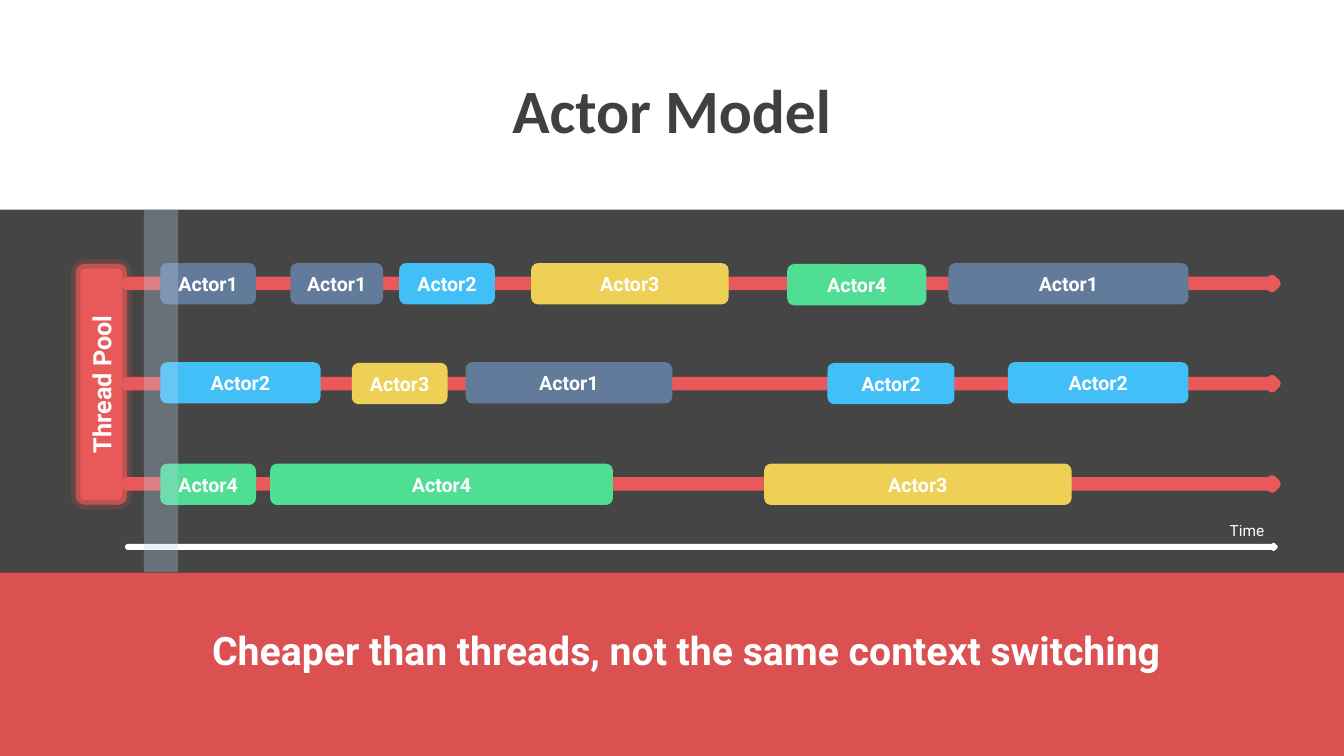
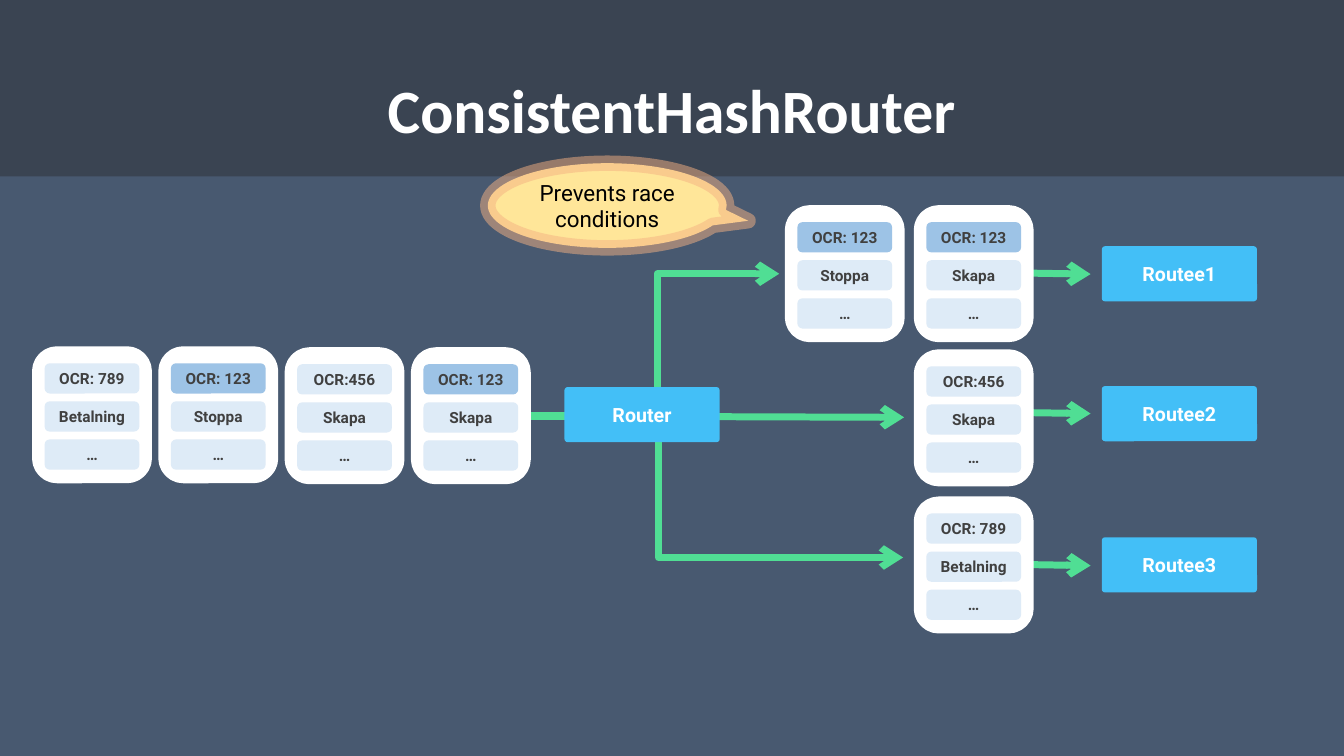
from dataclasses import dataclass
from typing import Any, NamedTuple, Optional

import pptx
import pptx.dml.color
import pptx.enum.shapes
import pptx.enum.text
import pptx.oxml.ns
import pptx.util

Pt = pptx.util.Pt
RGBColor = pptx.dml.color.RGBColor
Shape = pptx.enum.shapes.MSO_SHAPE
Connector = pptx.enum.shapes.MSO_CONNECTOR
Align = pptx.enum.text.PP_ALIGN
Anchor = pptx.enum.text.MSO_ANCHOR


@dataclass(frozen=True)
class Theme:
    white: str = "FFFFFF"
    black: str = "000000"
    ink: str = "404040"
    charcoal: str = "454545"
    navy: str = "485970"
    shade: str = "262626"
    red: str = "E95959"
    red_band: str = "DB5151"
    red_edge: str = "8C4A4A"
    slate: str = "637B9B"
    blue: str = "43BFF7"
    yellow: str = "EDD055"
    green: str = "50DE94"
    glow: str = "BDD7EE"
    pill: str = "DEEBF7"
    pill_hot: str = "9DC3E6"
    callout: str = "FFE699"
    callout_edge: str = "F4B183"
    title_font: str = "Calibri"
    body_font: str = "Roboto"
    title_size: float = 44
    caption_size: float = 28
    pool_size: float = 18
    callout_size: float = 16
    label_size: float = 14
    small_size: float = 11


THEME = Theme()
SLIDE_WIDTH, SLIDE_HEIGHT = 960, 540


class Area(NamedTuple):
    left: float
    top: float
    width: float
    height: float


class Edge(NamedTuple):
    color: str
    width: float
    opacity: int = 100


class TextStyle(NamedTuple):
    size: float
    color: str = THEME.white
    bold: bool = True
    font: str = THEME.body_font


class Actor(NamedTuple):
    number: int
    left: float
    width: float
    drop: float = 0


class Message(NamedTuple):
    left: float
    top: float
    number: str
    action: str


class Link(NamedTuple):
    start: tuple[float, float]
    end: tuple[float, float]
    bend: Optional[int] = None


LABEL = TextStyle(THEME.label_size)
PILL_TEXT = TextStyle(THEME.small_size, THEME.ink)

ACTOR_COLORS = {1: THEME.slate, 2: THEME.blue, 3: THEME.yellow, 4: THEME.green}
THREADS = {
    187.9: [
        Actor(1, 114.5, 68.4),
        Actor(1, 207.4, 66.2),
        Actor(2, 285.1, 68.4),
        Actor(3, 379.4, 141.1),
        Actor(4, 562.3, 99.4, 0.7),
        Actor(1, 677.5, 171.4),
    ],
    258.7: [
        Actor(2, 114.5, 114.5),
        Actor(3, 251.3, 68.4, 0.5),
        Actor(1, 332.6, 147.6),
        Actor(2, 591.1, 90.7, 0.5),
        Actor(2, 720, 128.9),
    ],
    331.2: [
        Actor(4, 114.5, 68.4),
        Actor(4, 193, 244.8),
        Actor(3, 545.8, 219.6),
    ],
}

QUEUE_LEFT, QUEUE_STEP = 28.3, 90.2
QUEUE = [
    (252.7, "OCR: 789", "Betalning"),
    (252.7, "OCR: 123", "Stoppa"),
    (253.4, "OCR:456", "Skapa"),
    (253.4, "OCR: 123", "Skapa"),
]
ROUTED = [
    Message(566, 151.9, "OCR: 123", "Stoppa"),
    Message(658.1, 151.9, "OCR: 123", "Skapa"),
    Message(658.1, 254.9, "OCR:456", "Skapa"),
    Message(658.1, 360, "OCR: 789", "Betalning"),
]
NODES = [
    ("Router", 403.2, 276.5),
    ("Routee1", 787, 175.9),
    ("Routee2", 787, 275.8),
    ("Routee3", 787, 383.8),
]
HUB = (378, 297.2)
LINKS = [
    Link((730, 195), (779, 195.8)),
    Link((730, 294.7), (779, 295.4)),
    Link((730, 403.2), (779, 404)),
    Link(HUB, (645.8, 298.1)),
    Link(HUB, (645.1, 398.2), 34600),
    Link(HUB, (556.6, 195.6), 51200),
]


def apply_values(target: Any, values: dict[str, Any]) -> None:
    for name, value in values.items():
        setattr(target, name, value)


def color_of(code: str) -> RGBColor:
    return RGBColor.from_string(code)


def set_opacity(shape: Any, route: str, opacity: int) -> None:
    if opacity < 100:
        for color in shape._element.spPr.xpath(route + "a:solidFill/a:srgbClr"):
            alpha = color.makeelement(pptx.oxml.ns.qn("a:alpha"), {"val": str(opacity * 1000)})
            color.append(alpha)


def write_text(box: Any, text: str, style: TextStyle, align: Any = Align.CENTER,
               anchor: Any = Anchor.MIDDLE, wrap: bool = True, spacing: float = 1) -> None:
    apply_values(box.text_frame, {"word_wrap": wrap, "vertical_anchor": anchor})
    para = box.text_frame.paragraphs[0]
    apply_values(para, {"alignment": align, "line_spacing": spacing})
    span = para.add_run()
    span.text = text
    apply_values(span.font, {"size": Pt(style.size), "bold": style.bold, "name": style.font})
    span.font.color.rgb = color_of(style.color)


def add_text(page: Any, area: Area, text: str, style: TextStyle, **layout: Any) -> None:
    box = page.shapes.add_textbox(*map(Pt, area))
    write_text(box, text, style, **layout)


def add_box(page: Any, area: Area, fill: str, kind: Any = Shape.ROUNDED_RECTANGLE,
            edge: Optional[Edge] = None, opacity: int = 100, text: str = "",
            style: TextStyle = LABEL) -> Any:
    box = page.shapes.add_shape(kind, *map(Pt, area))
    box.shadow.inherit = False
    box.fill.solid()
    box.fill.fore_color.rgb = color_of(fill)
    set_opacity(box, "./", opacity)
    if edge:
        box.line.color.rgb = color_of(edge.color)
        box.line.width = Pt(edge.width)
        set_opacity(box, "./a:ln/", edge.opacity)
    else:
        box.line.fill.background()
    if text:
        write_text(box, text, style)
    return box


def add_link(page: Any, link: Link) -> None:
    kind = Connector.STRAIGHT if link.bend is None else Connector.ELBOW
    line = page.shapes.add_connector(kind, *map(Pt, link.start + link.end))
    line.line.color.rgb = color_of(THEME.green)
    line.line.width = Pt(5)
    qn = pptx.oxml.ns.qn
    properties = line._element.spPr
    outline = properties.find(qn("a:ln"))
    outline.append(outline.makeelement(qn("a:tailEnd"), {"type": "arrow"}))
    properties.append(properties.makeelement(qn("a:effectLst"), {}))
    if link.bend is not None:
        guides = properties.find(qn("a:prstGeom")).get_or_add_avLst()
        guide = {"name": "adj1", "fmla": f"val {link.bend}"}
        guides.append(guides.makeelement(qn("a:gd"), guide))


def start_page(deck: Any, background: str, band: str, band_height: float,
               title: str, title_color: str, band_opacity: int = 100) -> Any:
    page = deck.slides.add_slide(deck.slide_layouts[6])
    page.background.fill.solid()
    page.background.fill.fore_color.rgb = color_of(background)
    add_box(page, Area(0, 0, SLIDE_WIDTH, band_height), band, Shape.RECTANGLE,
            opacity=band_opacity)
    style = TextStyle(THEME.title_size, title_color, font=THEME.title_font)
    add_text(page, Area(66, 28.8, 828, 104.4), title, style, spacing=0.9)
    return page


def add_time_arrow(page: Any, top: float, height: float, color: str, weight: float) -> None:
    add_box(page, Area(90.7, top, 820.8, height), color, Shape.RIGHT_ARROW, Edge(color, weight))


def draw_actor_model(deck: Any) -> None:
    page = start_page(deck, THEME.charcoal, THEME.white, 149.8, "Actor Model", THEME.ink)
    pool = add_box(page, Area(-13.7, 256.1, 172.1, 36.7), THEME.red,
                   edge=Edge(THEME.red_edge, 6.75, 41), text="Thread Pool",
                   style=TextStyle(THEME.pool_size))
    pool.rotation = 270
    for index, (top, actors) in enumerate(THREADS.items()):
        add_time_arrow(page, 199.6 + 71.6 * index, 5.8, THEME.red, 6.75)
        for actor in actors:
            add_box(page, Area(actor.left, top + actor.drop, actor.width, 29.5),
                    ACTOR_COLORS[actor.number], text=f"Actor{actor.number}")
    footer_top = 409
    add_box(page, Area(0, footer_top, SLIDE_WIDTH, SLIDE_HEIGHT - footer_top),
            THEME.red_band, Shape.RECTANGLE)
    add_text(page, Area(10, 444.2, SLIDE_WIDTH, 41),
             "Cheaper than threads, not the same context switching",
             TextStyle(THEME.caption_size), anchor=Anchor.TOP)
    add_time_arrow(page, 388.8, 3.6, THEME.white, 2.5)
    add_box(page, Area(102.8, 149.8, 24.5, 258.7), THEME.glow, Shape.RECTANGLE, opacity=30)
    add_text(page, Area(871.2, 368.6, 39.6, 20.9), "Time",
             TextStyle(THEME.small_size, bold=False), align=Align.LEFT,
             anchor=Anchor.TOP, wrap=False)


def add_message(page: Any, message: Message) -> None:
    add_box(page, Area(message.left, message.top, 74.9, 87.1), THEME.white,
            edge=Edge(THEME.white, 10.75))
    for index, text in enumerate((message.number, message.action, "…")):
        fill = THEME.pill_hot if text == "OCR: 123" else THEME.pill
        add_box(page, Area(message.left + 3.6, message.top + 6.8 + 27.2 * index, 67.7, 21.6),
                fill, text=text, style=PILL_TEXT)


def draw_hash_router(deck: Any) -> None:
    page = start_page(deck, THEME.navy, THEME.shade, 126, "ConsistentHashRouter",
                      THEME.white, band_opacity=40)
    for link in LINKS:
        add_link(page, link)
    queue = [Message(QUEUE_LEFT + QUEUE_STEP * index, *entry)
             for index, entry in enumerate(QUEUE)]
    for message in queue + ROUTED:
        add_message(page, message)
    for name, left, top in NODES:
        node = add_box(page, Area(left, top, 110.9, 39.4), THEME.blue, text=name)
        node.adjustments[0] = 0.06
    callout = add_box(page, Area(348.5, 116.6, 170.6, 60.5), THEME.callout,
                      Shape.OVAL_CALLOUT, Edge(THEME.callout_edge, 11, 50),
                      text="Prevents race conditions",
                      style=TextStyle(THEME.callout_size, THEME.black, False))
    callout.adjustments[0] = 0.59
    callout.adjustments[1] = 0.18


def main() -> None:
    deck = pptx.Presentation()
    apply_values(deck, {"slide_width": Pt(SLIDE_WIDTH), "slide_height": Pt(SLIDE_HEIGHT)})
    draw_actor_model(deck)
    draw_hash_router(deck)
    deck.save("out.pptx")


if __name__ == "__main__":
    main()
